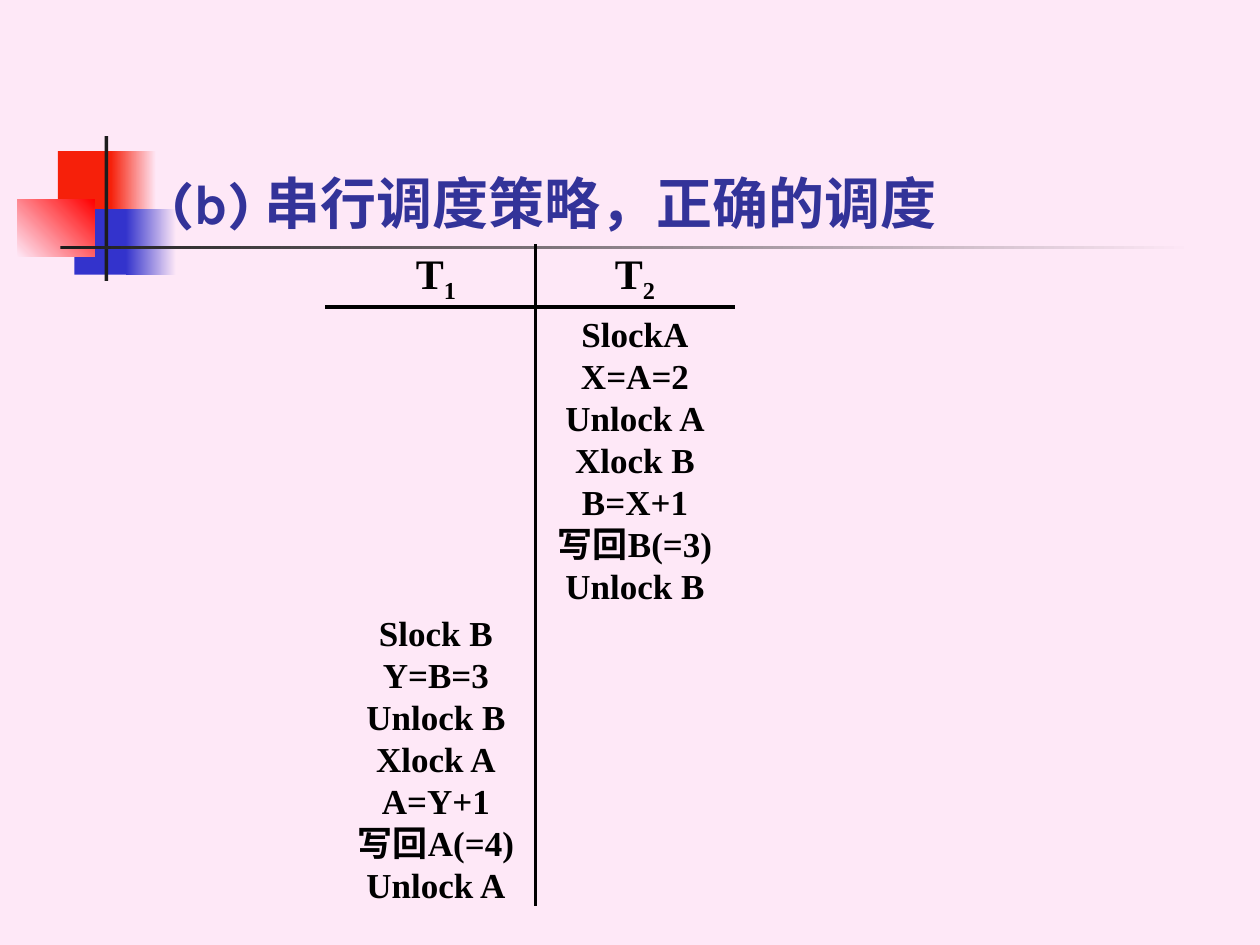
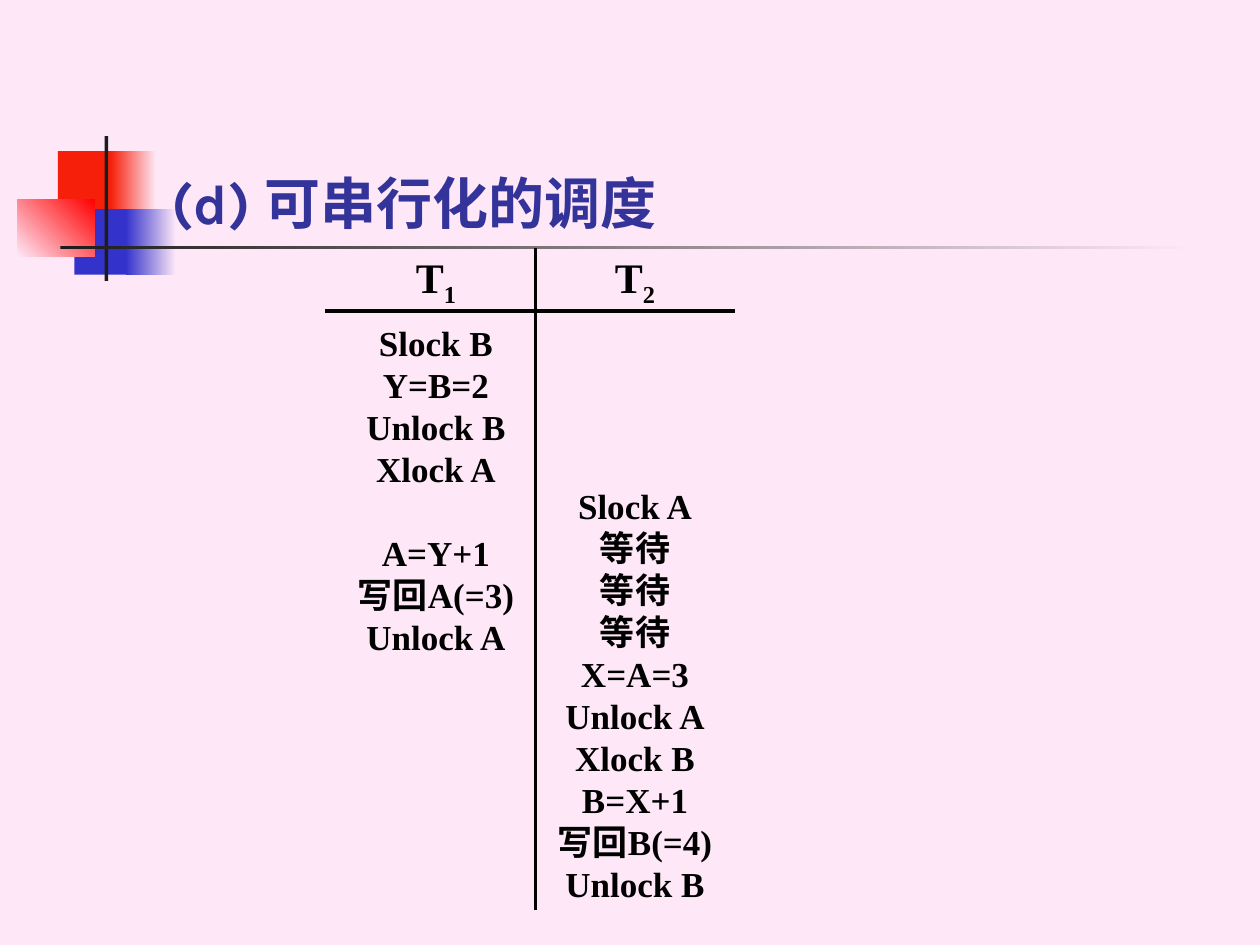
"""Build two slides that show transaction schedules of T1 and T2 side by side."""
from lxml.etree import SubElement
from pptx import Presentation
from pptx.dml.color import RGBColor
from pptx.enum.shapes import MSO_CONNECTOR, MSO_SHAPE, PP_PLACEHOLDER
from pptx.enum.text import MSO_ANCHOR, PP_ALIGN
from pptx.oxml.ns import qn
from pptx.util import Inches, Pt

PINK = RGBColor(0xFE, 0xE8, 0xF7)
SCARLET = RGBColor(0xF6, 0x20, 0x0A)
RED = RGBColor(0xFF, 0x00, 0x00)
BLUE = RGBColor(0x33, 0x33, 0xCC)
INDIGO = RGBColor(0x33, 0x33, 0x99)
CHARCOAL = RGBColor(0x1C, 0x1C, 0x1C)
BLACK = RGBColor(0x00, 0x00, 0x00)
TITLE_FONT, BODY_FONT = "Karla", "Times New Roman"

SCHEDULES = [
    {
        "title": "(b) 串行调度策略，正确的调度",
        "top": 1.94,
        "steps": [
            [(7, ["Slock B", "Y=B=3", "Unlock B", "Xlock A", "A=Y+1", "写回A(=4)", "Unlock A"])],
            [(0, ["SlockA", "X=A=2", "Unlock A", "Xlock B", "B=X+1", "写回B(=3)", "Unlock B"])],
        ],
    },
    {
        "title": "(d) 可串行化的调度",
        "top": 1.97,
        "steps": [
            [(0, ["Slock B", "Y=B=2", "Unlock B", "Xlock A"]),
             (5, ["A=Y+1", "写回A(=3)", "Unlock A"])],
            [(4, ["Slock A", "等待", "等待", "等待", "X=A=3", "Unlock A", "Xlock B",
                  "B=X+1", "写回B(=4)", "Unlock B"])],
        ],
    },
]

EMBLEM = [
    ((0.46, 1.2, 0.48, 0.52), (SCARLET,), 0),
    ((0.88, 1.2, 0.36, 0.52), (SCARLET, PINK), 0),
    ((0.59, 1.66, 0.46, 0.52), (BLUE,), 0),
    ((1, 1.66, 0.4, 0.52), (BLUE, PINK), 0),
    ((0.14, 1.58, 0.61, 0.46), (PINK, RED), 45),
    ((0.83, 1.08, 0.03, 1.15), (CHARCOAL,), 0),
    ((0.48, 1.95, 9, 0.03), (CHARCOAL, PINK), 0),
]

TITLE_AREA = (1.26, 0.67, 8.52, 1.25)
COLUMN_LEFT, COLUMN_WIDTH = 2.67, 1.58
DIVIDER = COLUMN_LEFT + COLUMN_WIDTH
RULE_LEFT, RULE_RIGHT = 2.58, DIVIDER + COLUMN_WIDTH
HEADER_HEIGHT, DIVIDER_HEIGHT = 0.5, 5.25
STEP_OFFSETS = (0.58, 0.54)
LINE_POINTS = 24
ROW = LINE_POINTS / 72


def prepare_layout(layout):
    layout.background.fill.solid()
    layout.background.fill.fore_color.rgb = PINK
    for holder in list(layout.placeholders):
        if holder.placeholder_format.type == PP_PLACEHOLDER.TITLE:
            holder.left, holder.top, holder.width, holder.height = map(Inches, TITLE_AREA)
            holder.text_frame.vertical_anchor = MSO_ANCHOR.BOTTOM
        else:
            holder.element.getparent().remove(holder.element)


def move_emblem_to_layout(slide, layout):
    for area, colors, angle in EMBLEM:
        block = slide.shapes.add_shape(MSO_SHAPE.RECTANGLE, *map(Inches, area))
        block.shadow.inherit = False
        block.line.fill.background()
        if len(colors) == 1:
            block.fill.solid()
            block.fill.fore_color.rgb = colors[0]
        else:
            block.fill.gradient()
            block.fill.gradient_angle = angle
            for stop, color in zip(block.fill.gradient_stops, colors):
                stop.color.rgb = color
        layout.shapes.element.append(block.element)


def style(paragraph, font, size, color, align):
    paragraph.alignment = align
    paragraph.font.name = font
    paragraph.font.size = Pt(size)
    paragraph.font.bold = True
    paragraph.font.color.rgb = color


def add_rule(slide, *ends):
    rule = slide.shapes.add_connector(MSO_CONNECTOR.STRAIGHT, *map(Inches, ends))
    rule.line.color.rgb = BLACK
    rule.line.width = Pt(2.25)
    SubElement(rule.element.spPr, qn("a:effectLst"))


def add_cell(slide, left, top, height):
    area = map(Inches, (left, top, COLUMN_WIDTH, height))
    frame = slide.shapes.add_textbox(*area).text_frame
    frame.word_wrap = True
    frame.vertical_anchor = MSO_ANCHOR.MIDDLE
    frame.margin_left = frame.margin_right = frame.margin_top = frame.margin_bottom = 0
    return frame


def add_header(slide, left, top, number):
    heading = add_cell(slide, left, top, HEADER_HEIGHT).paragraphs[0]
    style(heading, BODY_FONT, 24, BLACK, PP_ALIGN.CENTER)
    heading.add_run().text = "T"
    index = heading.add_run()
    index.text = str(number)
    index.font._element.set("baseline", "-25000")


def add_steps(slide, left, top, steps):
    frame = add_cell(slide, left, top, len(steps) * ROW)
    frame.text = "\n".join(steps)
    for step in frame.paragraphs:
        style(step, BODY_FONT, 20, BLACK, PP_ALIGN.CENTER)
        step.line_spacing = Pt(LINE_POINTS)


def fill_schedule(slide, schedule):
    top = schedule["top"]
    slide.shapes.title.text = schedule["title"]
    style(slide.shapes.title.text_frame.paragraphs[0], TITLE_FONT, 32, INDIGO, PP_ALIGN.LEFT)
    add_rule(slide, RULE_LEFT, top + HEADER_HEIGHT, RULE_RIGHT, top + HEADER_HEIGHT)
    add_rule(slide, DIVIDER, top, DIVIDER, top + DIVIDER_HEIGHT)
    for column, (groups, offset) in enumerate(zip(schedule["steps"], STEP_OFFSETS)):
        left = COLUMN_LEFT + column * COLUMN_WIDTH
        add_header(slide, left, top, column + 1)
        for first_row, steps in groups:
            add_steps(slide, left, top + offset + first_row * ROW, steps)


def main():
    deck = Presentation()
    deck.slide_width, deck.slide_height = Inches(10), Inches(7.5)
    layout = deck.slide_layouts.get_by_name("Title Only")
    prepare_layout(layout)
    slides = [deck.slides.add_slide(layout) for _ in SCHEDULES]
    move_emblem_to_layout(slides[0], layout)
    for slide, schedule in zip(slides, SCHEDULES):
        fill_schedule(slide, schedule)
    deck.save("out.pptx")


if __name__ == "__main__":
    main()
